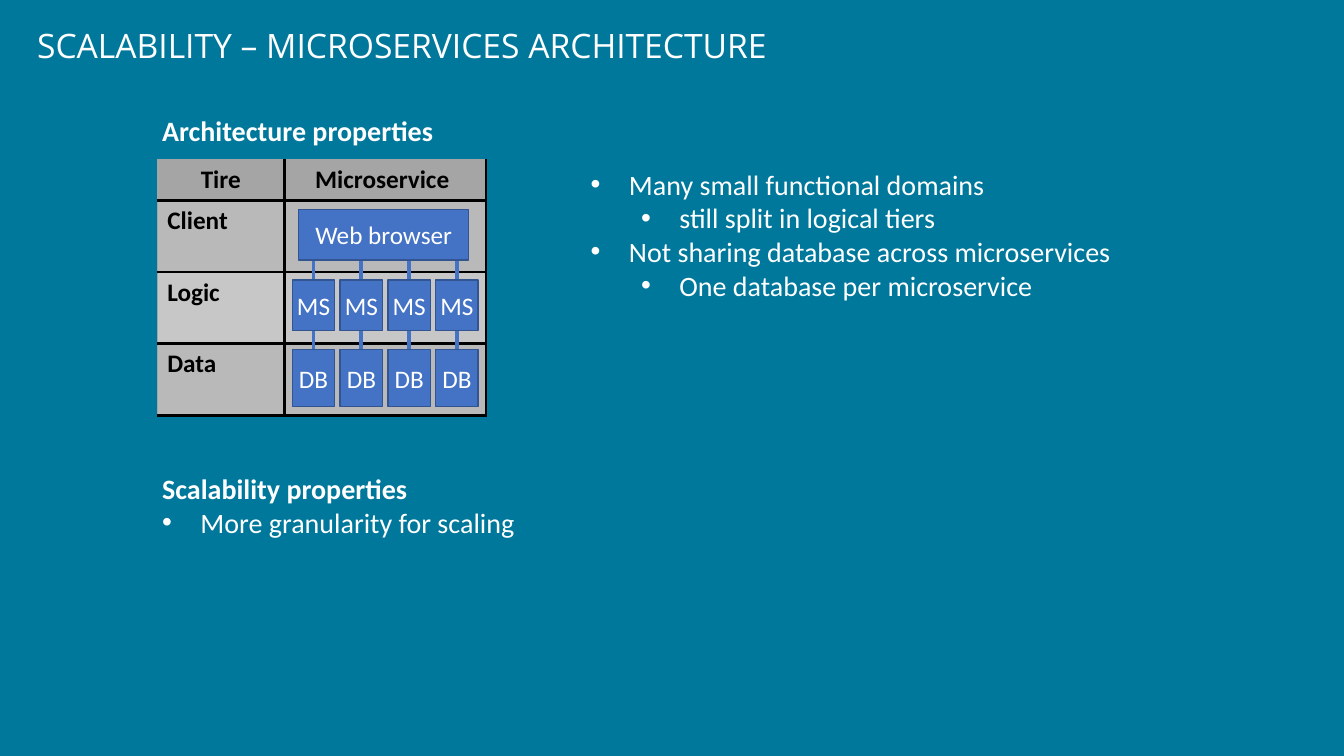
from lxml import etree
from pptx import Presentation, util as u
from pptx.dml.color import RGBColor
from pptx.enum import shapes, text
from pptx.oxml.ns import qn


def tint(code):
    return RGBColor.from_string(code)


class Board:
    """Draws styled elements on one slide, with lengths in tenths of an inch."""

    unit = 0.1
    white, black, blue, edge, grey = "FFFFFF", "000000", "4472C4", "325491", "A5A5A5"
    face = "Calibri"

    def __init__(self, deck):
        self.slide = deck.slides.add_slide(deck.slide_layouts[6])
        fill = self.slide.background.fill
        fill.solid()
        fill.fore_color.rgb = tint("00789C")

    def size(self, *vals):
        return [u.Inches(v * self.unit) for v in vals]

    def run(self, para, words, pts, code=white, bold=False, face=face):
        run = para.add_run()
        run.text = words
        font = run.font
        font.size, font.bold, font.name = u.Pt(pts), bold, face
        font.color.rgb = tint(code)

    def bullet(self, para, level):
        para.level = level
        props = para._p.get_or_add_pPr()
        left, back = self.size(3.8 + 5 * level, -3.8)
        props.set("marL", str(left))
        props.set("indent", str(back))
        etree.SubElement(props, qn("a:buFont")).set("typeface", "Arial")
        etree.SubElement(props, qn("a:buChar")).set("char", "•")

    def note(self, place, lines, pts=20, face=face, gap=None):
        frame = self.slide.shapes.add_textbox(*self.size(*place)).text_frame
        frame.word_wrap = True
        for i, (words, level, bold) in enumerate(lines):
            para = frame.add_paragraph() if i else frame.paragraphs[0]
            if level is not None:
                self.bullet(para, level)
            if gap:
                para.line_spacing = gap
            self.run(para, words, pts, bold=bold, face=face)

    def box(self, place, words):
        shape = self.slide.shapes.add_shape(
            shapes.MSO_SHAPE.RECTANGLE, *self.size(*place))
        shape.shadow.inherit = False
        shape.fill.solid()
        shape.fill.fore_color.rgb = tint(self.blue)
        shape.line.color.rgb = tint(self.edge)
        shape.line.width = u.Pt(1)
        frame = shape.text_frame
        frame.word_wrap = True
        frame.vertical_anchor = text.MSO_ANCHOR.MIDDLE
        frame.margin_left, frame.margin_right = self.size(0.4, 0.4)
        para = frame.paragraphs[0]
        para.alignment = text.PP_ALIGN.CENTER
        self.run(para, words, 18)

    def link(self, x, top, end):
        line = self.slide.shapes.add_connector(
            shapes.MSO_CONNECTOR.STRAIGHT, *self.size(x, top, x, end))
        line.line.color.rgb = tint(self.blue)
        line.line.width = u.Pt(2.75)
        etree.SubElement(line._element.spPr, qn("a:effectLst"))

    def border(self, cell, side, code, pts):
        props = cell._tc.get_or_add_tcPr()
        line = etree.SubElement(props, qn("a:ln" + side), w=str(u.Pt(pts)))
        fill = etree.SubElement(line, qn("a:solidFill"))
        etree.SubElement(fill, qn("a:srgbClr"), val=code)

    def table(self, spot, cols, rows, data, fills):
        place = self.size(*spot, sum(cols), sum(rows))
        grid = self.slide.shapes.add_table(len(rows), len(cols), *place).table
        grid.first_row = grid.horz_banding = False
        for col, wide in zip(grid.columns, self.size(*cols)):
            col.width = wide
        for row, high in zip(grid.rows, self.size(*rows)):
            row.height = high
        for r, line in enumerate(data):
            for c, words in enumerate(line):
                cell = grid.cell(r, c)
                soft = {"L": c == 0, "T": r == 0}
                for side in "LRTB":
                    pale = soft.get(side)
                    self.border(cell, side, self.grey if pale else self.black,
                                0.5 if pale else 2.25)
                cell.fill.solid()
                cell.fill.fore_color.rgb = tint(fills[r])
                para = cell.text_frame.paragraphs[0]
                if r == 0:
                    para.alignment = text.PP_ALIGN.CENTER
                if words:
                    self.run(para, words, 18, self.black, True)


def main():
    deck = Presentation()
    deck.slide_width, deck.slide_height = u.Inches(13.33), u.Inches(7.5)
    board = Board(deck)
    board.note((2.7, 2.4, 79.4, 5.8),
               [("SCALABILITY – MICROSERVICES ARCHITECTURE", None, False)],
               24, "Open Sans", 0.9)
    board.table((15.6, 15.8), (12.6, 20), (4.1, 7.1, 7.1, 7.1),
                [("Tire", "Microservice "), ("Client", ""), ("Logic", ""), ("Data", "")],
                (board.grey, "B9B9B9", "C7C7C7", "B9B9B9"))
    board.note((15.1, 10.8, 66.9, 4.4), [("Architecture properties", None, True)])
    for i in range(4):
        left = 29 + 4.74 * i
        board.box((left, 34.65, 4.2, 5.7), "DB")
        board.link(left + 2.1, 23.3, 34.65)
        board.box((left, 27.8, 4.2, 5), "MS")
    board.box((29.6, 20.8, 16.9, 5), "Web browser")
    board.note((57.6, 16.1, 57.1, 14.5), [
        ("Many small functional domains", 0, False),
        ("still split in logical tiers", 1, False),
        ("Not sharing database across microservices", 0, False),
        ("One database per microservice", 1, False)])
    board.note((15.1, 46.3, 66.9, 11.1), [
        ("Scalability properties", None, True),
        ("More granularity for scaling", 0, False)])
    deck.save("out.pptx")


if __name__ == "__main__":
    main()
